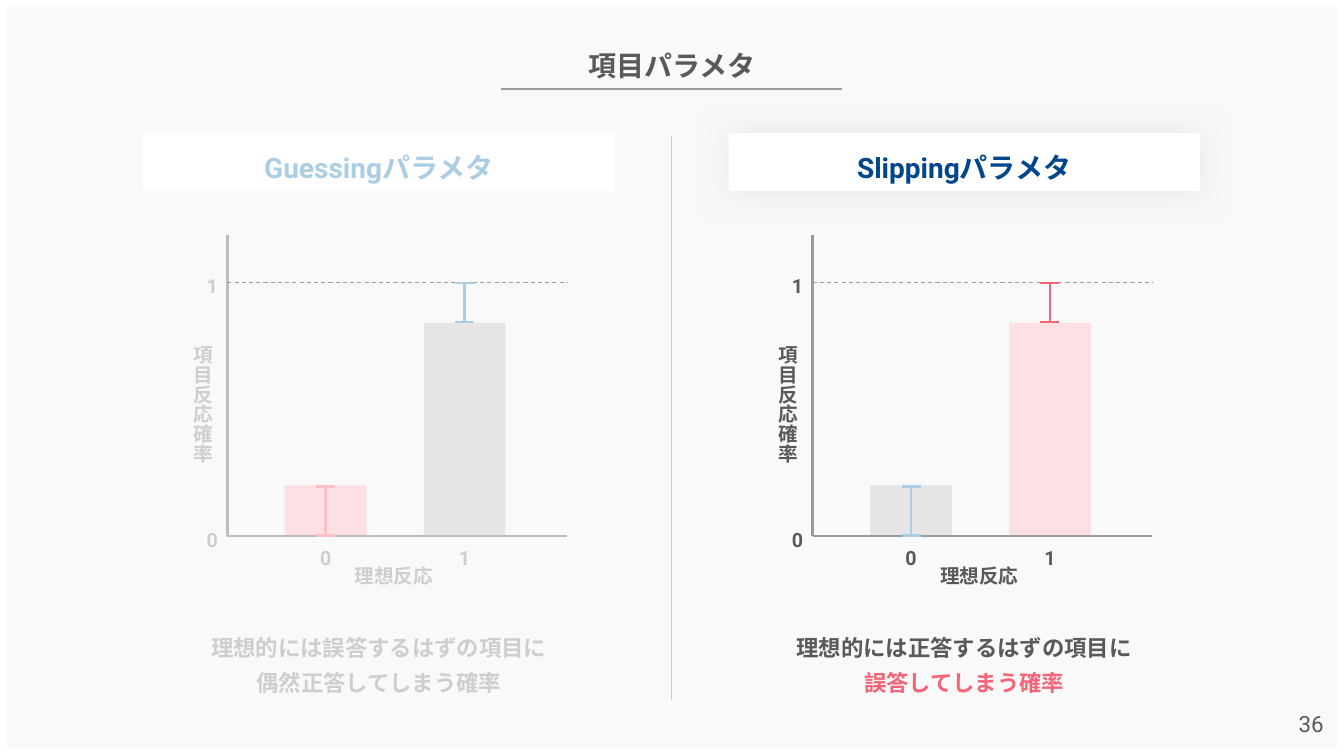
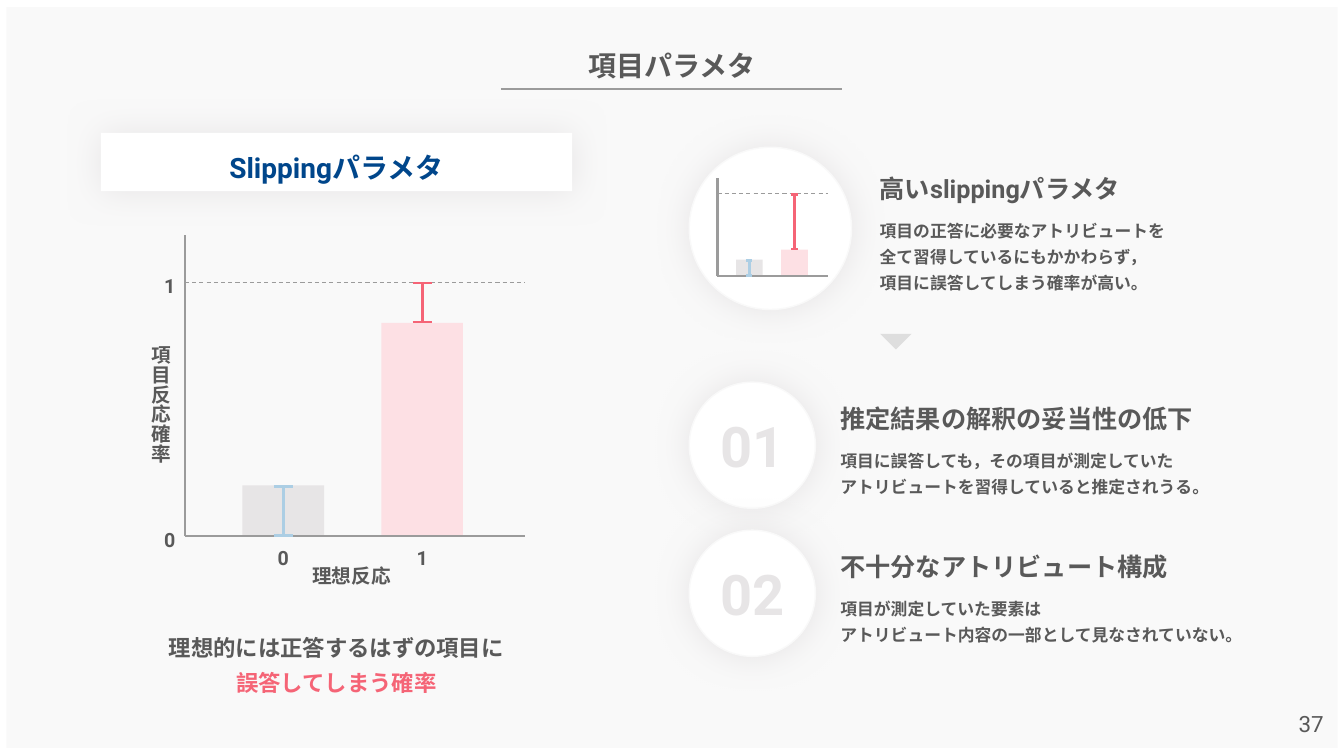
from copy import deepcopy
from dataclasses import dataclass

from lxml import etree
from pptx import Presentation
from pptx.dml.color import RGBColor
from pptx.enum.dml import MSO_LINE
from pptx.enum.shapes import MSO_CONNECTOR, MSO_SHAPE
from pptx.enum.text import MSO_ANCHOR, PP_ALIGN
from pptx.oxml.ns import qn
from pptx.util import Cm, Pt

STRAIGHT = MSO_CONNECTOR.STRAIGHT
RECT, OVAL, CORNER = MSO_SHAPE.RECTANGLE, MSO_SHAPE.OVAL, MSO_SHAPE.RIGHT_TRIANGLE
TOP, MIDDLE = MSO_ANCHOR.TOP, MSO_ANCHOR.MIDDLE
LEFT, CENTER, RIGHT = PP_ALIGN.LEFT, PP_ALIGN.CENTER, PP_ALIGN.RIGHT
DASH = MSO_LINE.DASH


@dataclass(frozen=True)
class Theme:
    latin: str = "Roboto"
    japanese: str = "Noto Sans CJK JP"
    paper: str = "F9F9F9"
    white: str = "FFFFFF"
    ink: str = "595959"
    rule: str = "9B9B9B"
    pale: str = "D1CDCF"
    glow: str = "E7E5E6"
    arrow: str = "DEDEDE"
    title: int = 20
    heading: int = 18
    caption: int = 16
    label: int = 14
    detail: int = 12
    numeral: int = 40
    spacing: float = 1.3
    blur: int = 25


@dataclass(frozen=True)
class Tone:
    header: str
    text: str
    accent: str
    axis: str
    bars: tuple
    errors: tuple
    raised: bool


THEME = Theme()
MUTED = Tone("ACCEE4", THEME.pale, THEME.pale, "BDBDBD",
             ("FDE0E4", "E7E5E6"), ("FBC1C8", "ACCEE4"), False)
ACTIVE = Tone("00468B", THEME.ink, "F56476", THEME.rule,
              ("E7E5E6", "FDE0E4"), ("ACCEE4", "F56476"), True)

SLIDE_W, SLIDE_H = 33.87, 19.05
PANEL_W = 11.88
AXIS_OFFSET, BASELINE = 2.12, 13.51
UNIT, AXIS_H, AXIS_W = 6.4, 7.6, 8.56
BAR_W, BAR_CENTERS, CAP_HALF = 2.06, (2.48, 5.98), 0.24
GUESS, SLIP_LEVEL, LOW_SLIP_LEVEL = 0.2, 0.84, 0.32
MINI_SCALE = 0.325
ENTRY_LEFT, ENTRY_W = 17.37, 14.91
SLIPPING = ("Slippingパラメタ", "理想的には正答するはずの項目に\n誤答してしまう確率")


class Deck:
    def __init__(self, theme):
        self.theme = theme
        self.presentation = Presentation()
        self.presentation.slide_width = Cm(SLIDE_W)
        self.presentation.slide_height = Cm(SLIDE_H)
        self.slide = None

    def new_slide(self, title, number):
        theme = self.theme
        blank = self.presentation.slide_layouts[6]
        self.slide = self.presentation.slides.add_slide(blank)
        self.shape(RECT, 0.16, 0.18, 33.55, 18.67, theme.paper)
        self.text(number, 32.16, 17.73, 1.45, 1.02, theme.caption,
                  align=RIGHT, anchor=MIDDLE, bold=False, spacing=1)
        self.text(title, 13.36, 0.18, 7.16, 2.69, theme.title, anchor=MIDDLE)
        self.line(12.62, 2.24, 21.23, 2.24, theme.rule, 1)

    def shape(self, kind, left, top, width, height, fill, outline=None, glow=False):
        shape = self.slide.shapes.add_shape(
            kind, Cm(left), Cm(top), Cm(width), Cm(height))
        shape.fill.solid()
        shape.fill.fore_color.rgb = RGBColor.from_string(fill)
        if outline:
            shape.line.color.rgb = RGBColor.from_string(outline)
            shape.line.width = Pt(1)
        else:
            shape.line.fill.background()
        shape.shadow.inherit = False
        if glow:
            effects = shape._element.spPr.find(qn("a:effectLst"))
            shadow = etree.SubElement(effects, qn("a:outerShdw"), blurRad=str(Pt(self.theme.blur)),
                                      dist="0", dir="0", algn="ctr", rotWithShape="0")
            etree.SubElement(shadow, qn("a:srgbClr"), val=self.theme.glow)
        return shape

    def line(self, x1, y1, x2, y2, color, width, dash=None):
        line = self.slide.shapes.add_connector(STRAIGHT, Cm(x1), Cm(y1), Cm(x2), Cm(y2))
        line.line.color.rgb = RGBColor.from_string(color)
        line.line.width = Pt(width)
        if dash:
            line.line.dash_style = dash
        etree.SubElement(line._element.spPr, qn("a:effectLst"))

    def style(self, paragraph, size, color, align=CENTER, bold=True, spacing=None):
        paragraph.alignment = align
        paragraph.line_spacing = spacing or self.theme.spacing
        for run in paragraph.runs:
            run.font.name = self.theme.latin
            run.font.size = Pt(size)
            run.font.bold = bold
            run.font.color.rgb = RGBColor.from_string(color)
            etree.SubElement(run._r.rPr, qn("a:ea"), typeface=self.theme.japanese)
        for line_break in paragraph._p.findall(qn("a:br")):
            line_break.insert(0, deepcopy(paragraph.runs[0]._r.rPr))

    def fill_text(self, shape, text, size, color, anchor=MIDDLE, **look):
        frame = shape.text_frame
        frame.word_wrap = True
        frame.vertical_anchor = anchor
        paragraph = frame.paragraphs[0]
        paragraph.text = text
        self.style(paragraph, size, color, **look)
        return frame

    def text(self, text, left, top, width, height, size, color=None, anchor=TOP, **look):
        box = self.slide.shapes.add_textbox(Cm(left), Cm(top), Cm(width), Cm(height))
        return self.fill_text(box, text, size, color or self.theme.ink, anchor, **look)

    def plot(self, axis_x, base_y, scale, levels, tone):
        one_y = base_y - UNIT * scale
        end_x = axis_x + AXIS_W * scale
        self.line(axis_x, base_y, axis_x, base_y - AXIS_H * scale, tone.axis, 1.75)
        centers = [axis_x + center * scale for center in BAR_CENTERS]
        tops = [base_y - UNIT * scale * level for level in levels]
        width = BAR_W * scale
        for center, top, color in zip(centers, tops, tone.bars):
            self.shape(RECT, center - width / 2, top, width, base_y - top, color)
        self.line(axis_x, one_y, end_x, one_y, self.theme.rule, 0.75, DASH)
        self.line(axis_x, base_y, end_x, base_y, tone.axis, 1.75)
        spans = ((tops[0], base_y), (one_y, tops[1]))
        cap = CAP_HALF * scale
        for center, (high, low), color in zip(centers, spans, tone.errors):
            self.line(center, high, center, low, color, 2)
            for y in (high + 0.02, low - 0.02):
                self.line(center - cap, y, center + cap, y, color, 2)

    def axis_labels(self, axis_x, color):
        size = self.theme.label
        ticks = [(axis_x + center, BASELINE + 0.47) for center in BAR_CENTERS]
        ticks += [(axis_x - 0.38, BASELINE - UNIT * level) for level in (0, 1)]
        for tick, (x, y) in zip("0101", ticks):
            self.text(tick, x - 0.42, y - 0.52, 0.84, 1.04, size, color)
        self.text("理想反応", axis_x + 2.7, BASELINE + 0.41, 3, 1.04, size, color)
        frame = self.text("項目反応確率", axis_x - 1.35, BASELINE - 5.05, 1.27, 3.96,
                          size, color, spacing=1.2)
        frame._txBody.bodyPr.set("vert", "eaVert")

    def panel(self, left, header, caption, tone):
        banner = self.shape(RECT, left, 3.35, PANEL_W, 1.47, self.theme.white, glow=tone.raised)
        self.fill_text(banner, header, self.theme.title, tone.header)
        frame = self.text(caption, left, 15.65, PANEL_W, 1.98, self.theme.caption, tone.text)
        conclusion = frame.paragraphs[0].runs[-1]
        conclusion.font.color.rgb = RGBColor.from_string(tone.accent)
        axis_x = left + AXIS_OFFSET
        self.plot(axis_x, BASELINE, 1, (GUESS, SLIP_LEVEL), tone)
        self.axis_labels(axis_x, tone.text)

    def entry(self, top, diameter, indent, heading, detail, numeral=None):
        theme = self.theme
        disc = self.shape(OVAL, ENTRY_LEFT, top, diameter, diameter,
                          theme.white, theme.paper, glow=True)
        if numeral:
            self.fill_text(disc, numeral, theme.numeral, theme.glow, spacing=1)
        frame = self.text(heading, ENTRY_LEFT, top, ENTRY_W, diameter,
                          theme.heading, anchor=MIDDLE, align=LEFT)
        frame.margin_left, frame.margin_right = Cm(indent), Cm(0.4)
        frame.margin_top = frame.margin_bottom = Cm(0.2)
        explanation = frame.add_paragraph()
        explanation.text = detail
        explanation.space_before = Pt(8)
        self.style(explanation, theme.detail, theme.ink, align=LEFT)

    def down_arrow(self, left, top, side):
        self.shape(CORNER, left, top, side, side, self.theme.arrow).rotation = 315


def main():
    deck = Deck(THEME)

    deck.new_slide("項目パラメタ", "36")
    deck.panel(3.61, "Guessingパラメタ",
               "理想的には誤答するはずの項目に\n偶然正答してしまう確率", MUTED)
    deck.line(16.92, 3.43, 16.92, 17.63, THEME.pale, 1)
    deck.panel(18.36, *SLIPPING, ACTIVE)

    deck.new_slide("項目パラメタ", "37")
    deck.panel(2.54, *SLIPPING, ACTIVE)
    deck.entry(3.71, 4.09, 4.8, "高いslippingパラメタ",
               "項目の正答に必要なアトリビュートを\n全て習得しているにもかかわらず，\n"
               "項目に誤答してしまう確率が高い。")
    deck.plot(18.08, 6.96, MINI_SCALE, (GUESS, LOW_SLIP_LEVEL), ACTIVE)
    deck.down_arrow(22.3, 8.13, 0.56)
    consequences = (
        ("推定結果の解釈の妥当性の低下",
         "項目に誤答しても，その項目が測定していた\n"
         "アトリビュートを習得していると推定されうる。"),
        ("不十分なアトリビュート構成",
         "項目が測定していた要素は\n"
         "アトリビュート内容の一部として見なされていない。"),
    )
    for index, (heading, detail) in enumerate(consequences):
        deck.entry(9.63 + 3.73 * index, 3.18, 3.81, heading, detail, f"{index + 1:02}")

    deck.presentation.save("out.pptx")


if __name__ == "__main__":
    main()
